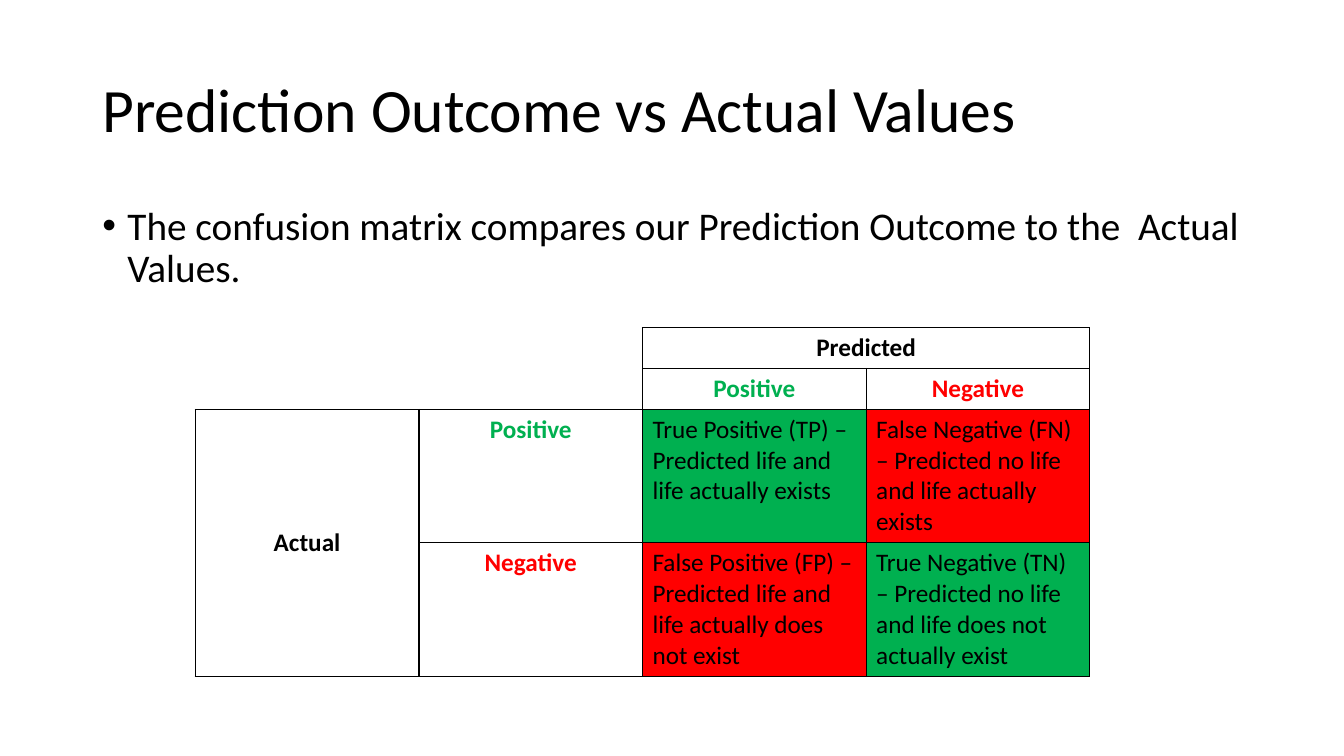
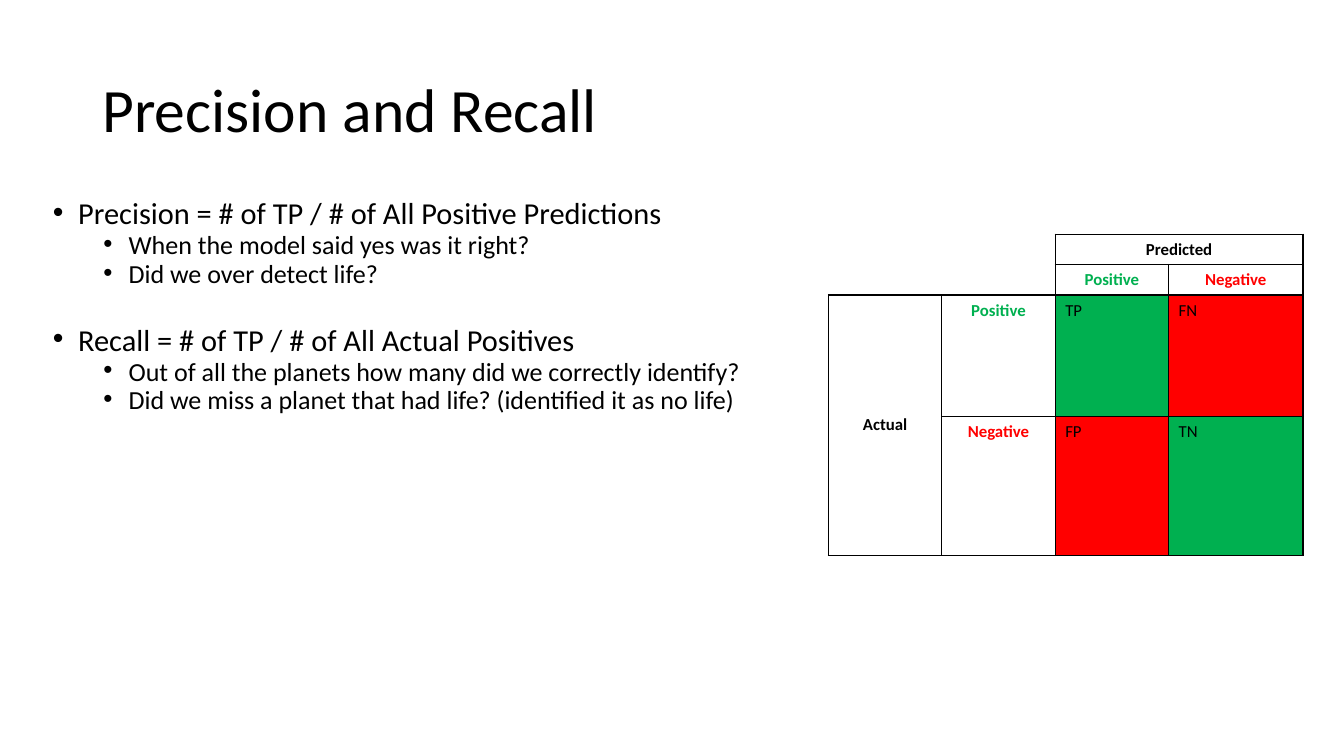
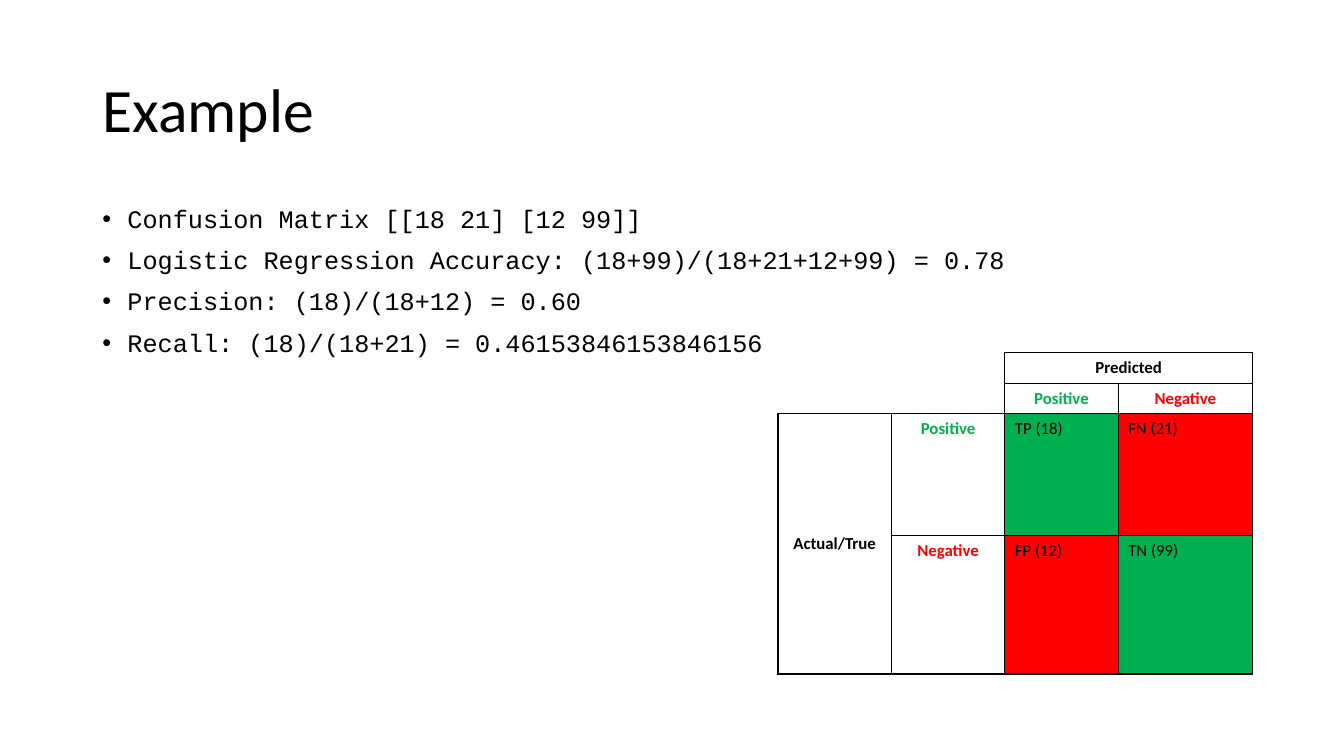
from lxml.etree import SubElement
from pptx import Presentation
from pptx.dml.color import RGBColor
from pptx.enum.text import MSO_ANCHOR, MSO_AUTO_SIZE, PP_ALIGN
from pptx.oxml.ns import qn
from pptx.util import Pt

EMU_PER_PX = 9525
BLACK = RGBColor(0x00, 0x00, 0x00)
WHITE = RGBColor(0xFF, 0xFF, 0xFF)
GREEN = RGBColor(0x00, 0xB0, 0x50)
RED = RGBColor(0xFF, 0x00, 0x00)

SANS = "Calibri"
MONO = "Courier New"
TITLE_ONLY = 5
MARGIN = 88
BODY_WIDTH = 1104

SMALL_COLUMNS = (108, 108, 108, 128)
SMALL_ROWS = (29, 29, 116, 132)


def px(length):
    return length * EMU_PER_PX


def place(shape, left, top, width, height):
    shape.left, shape.top = px(left), px(top)
    shape.width, shape.height = px(width), px(height)


def format_runs(paragraph, size, color=BLACK, bold=False, name=SANS):
    for span in paragraph.runs:
        span.font.size = Pt(size)
        span.font.name = name
        span.font.bold = bold
        span.font.color.rgb = color


def add_titled_slide(deck, title):
    slide = deck.slides.add_slide(deck.slide_layouts[TITLE_ONLY])
    box = slide.shapes.title
    place(box, MARGIN, 38, BODY_WIDTH, 139)
    frame = box.text_frame
    frame.text = title
    frame.auto_size = MSO_AUTO_SIZE.NONE
    frame.vertical_anchor = MSO_ANCHOR.MIDDLE
    paragraph = frame.paragraphs[0]
    paragraph.alignment = PP_ALIGN.LEFT
    paragraph.line_spacing = 0.9
    format_runs(paragraph, 44)
    return slide


def set_bullet(paragraph, level):
    """Hang a round bullet; call after the paragraph spacing is set."""
    paragraph.level = level
    properties = paragraph._p.get_or_add_pPr()
    properties.set("marL", str(px(24 + 48 * level)))
    properties.set("indent", str(px(-24)))
    SubElement(properties, qn("a:buFont"), typeface="Arial")
    SubElement(properties, qn("a:buChar"), char="•")


def add_bullets(slide, area, items, sizes, line_spacing=0.9, name=SANS, group_gap=10):
    """Add (level, text) items; group_gap precedes each later top-level item."""
    box = slide.shapes.add_textbox(0, 0, 0, 0)
    place(box, *area)
    frame = box.text_frame
    frame.word_wrap = True
    for index, (level, text) in enumerate(items):
        paragraph = frame.add_paragraph() if index else frame.paragraphs[0]
        paragraph.text = text
        paragraph.line_spacing = line_spacing
        gap = 5 if level else group_gap if index else 10
        paragraph.space_before = Pt(gap)
        set_bullet(paragraph, level)
        format_runs(paragraph, sizes[level], name=name)


def set_borders(cell, shown):
    """Draw the sides named in shown (letters of LRTB) and clear the others."""
    properties = cell._tc.get_or_add_tcPr()
    for side in "LRTB":
        line = SubElement(properties, qn(f"a:ln{side}"), w=str(Pt(1)))
        if side in shown:
            fill = SubElement(line, qn("a:solidFill"))
            SubElement(fill, qn("a:srgbClr"), val=str(BLACK))
        else:
            SubElement(line, qn("a:noFill"))


def fill_cell(cell, text, size, color, fill):
    cell.text = text
    paragraph = cell.text_frame.paragraphs[0]
    if fill == WHITE:
        paragraph.alignment = PP_ALIGN.CENTER
    format_runs(paragraph, size, color, bold=fill == WHITE)
    if not text:
        SubElement(paragraph._p, qn("a:endParaRPr"), sz=str(size * 100))
    cell.fill.solid()
    cell.fill.fore_color.rgb = fill


def add_confusion_matrix(slide, left, top, columns, rows, size, actual, outcomes):
    """Add the 2 by 2 matrix; outcomes are the texts for TP, FN, FP, TN."""
    frame = slide.shapes.add_table(
        4, 4, px(left), px(top), px(sum(columns)), px(sum(rows)))
    table = frame.table
    table.first_row = table.horz_banding = False
    for column, width in zip(table.columns, columns):
        column.width = px(width)
    for row, height in zip(table.rows, rows):
        row.height = px(height)

    labels = {
        (0, 2): ("Predicted", BLACK), (2, 0): (actual, BLACK),
        (1, 2): ("Positive", GREEN), (1, 3): ("Negative", RED),
        (2, 1): ("Positive", GREEN), (3, 1): ("Negative", RED),
    }
    for row in range(4):
        for column in range(4):
            cell = table.cell(row, column)
            if row < 2 and column < 2:
                set_borders(cell, "R" * (column == 1) + "B" * (row == 1))
            else:
                set_borders(cell, "LRTB")
            if row >= 2 and column >= 2:
                text = outcomes[2 * (row - 2) + column - 2]
                fill_cell(cell, text, size, BLACK, GREEN if row == column else RED)
            else:
                text, color = labels.get((row, column), ("", BLACK))
                fill_cell(cell, text, size, color, WHITE)

    for first, last in (((0, 2), (0, 3)), ((2, 0), (3, 0))):
        heading = table.cell(*first)
        heading.merge(table.cell(*last))
        heading.vertical_anchor = MSO_ANCHOR.MIDDLE


def add_outcome_slide(deck):
    slide = add_titled_slide(deck, "Prediction Outcome vs Actual Values")
    add_bullets(slide, (MARGIN, 192, BODY_WIDTH, 121), [
        (0, "The confusion matrix compares our Prediction Outcome to the  Actual Values."),
    ], sizes=(28,))
    add_confusion_matrix(slide, 186, 312, (213,) * 4, (39, 39, 127, 127), 18, "Actual", (
        "True Positive (TP) – Predicted life and life actually exists",
        "False Negative (FN) – Predicted no life and life actually exists",
        "False Positive (FP) – Predicted life and life actually does not exist",
        "True Negative (TN) – Predicted no life and life does not actually exist",
    ))


def add_precision_slide(deck):
    slide = add_titled_slide(deck, "Precision and Recall")
    add_bullets(slide, (41, 190, 695, 233), [
        (0, "Precision = # of TP / # of All Positive Predictions"),
        (1, "When the model said yes was it right?"),
        (1, "Did we over detect life?"),
        (0, "Recall = # of TP / # of All Actual Positives"),
        (1, "Out of all the planets how many did we correctly identify?"),
        (1, "Did we miss a planet that had life? (identified it as no life)"),
    ], sizes=(21.7, 18.6), line_spacing=0.7, group_gap=31)
    add_confusion_matrix(slide, 789, 223, SMALL_COLUMNS, SMALL_ROWS, 12,
                         "Actual", ("TP", "FN", "FP", "TN"))


def add_example_slide(deck):
    slide = add_titled_slide(deck, "Example")
    add_bullets(slide, (MARGIN, 192, BODY_WIDTH, 457), [
        (0, "Confusion Matrix [[18 21] [12 99]]"),
        (0, "Logistic Regression Accuracy: (18+99)/(18+21+12+99) = 0.78"),
        (0, "Precision: (18)/(18+12) = 0.60"),
        (0, "Recall: (18)/(18+21) = 0.46153846153846156"),
    ], sizes=(18,), name=MONO)
    add_confusion_matrix(slide, 741, 336, SMALL_COLUMNS, SMALL_ROWS, 12,
                         "Actual/True", ("TP (18)", "FN (21)", "FP (12)", "TN (99)"))


def main():
    deck = Presentation()
    deck.slide_width, deck.slide_height = px(1280), px(720)
    add_outcome_slide(deck)
    add_precision_slide(deck)
    add_example_slide(deck)
    deck.save("out.pptx")


if __name__ == "__main__":
    main()
